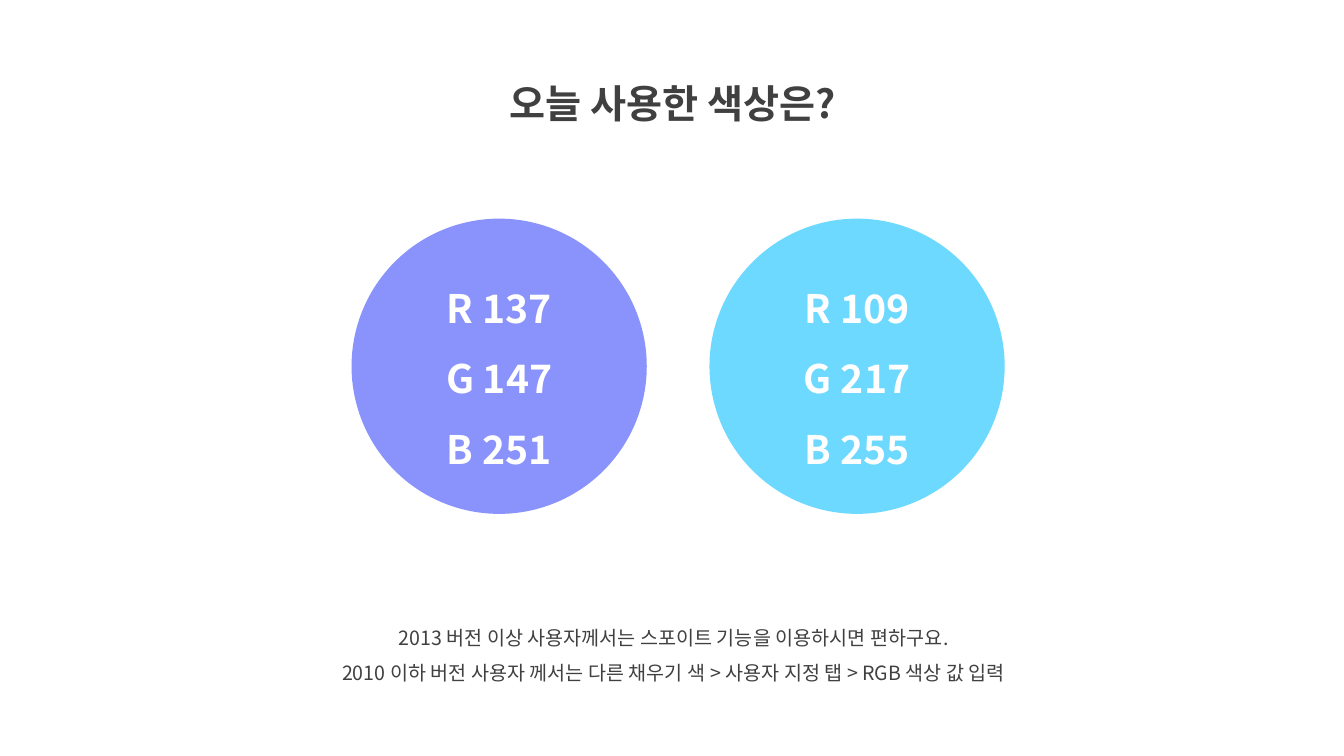
from lxml.etree import SubElement as Sub
from pptx import Presentation as Deck
from pptx.dml.color import RGBColor as Rgb
from pptx.enum.shapes import MSO_SHAPE as Form
from pptx.enum.text import MSO_ANCHOR as Anchor, MSO_AUTO_SIZE as Fit, PP_ALIGN as Align
from pptx.oxml.ns import qn
from pptx.util import Cm, Pt

FACE = "Noto Sans CJK KR"
DARK = "404040"
WHITE = "FFFFFF"
HUES = ["8993FB", "6DD9FF"]
TITLE = ["오늘 사용한 색상은?"]
NOTES = [
    "2013 버전 이상 사용자께서는 스포이트 기능을 이용하시면 편하구요.",
    "2010 이하 버전 사용자 께서는 다른 채우기 색 > 사용자 지정 탭 > RGB 색상 값 입력",
]
HEAD = {"size": Pt(28), "bold": True, "name": FACE}
BODY = {"size": Pt(14), "bold": False, "name": FACE}


def paint(target, code):
    target.solid()
    target.fore_color.rgb = Rgb.from_string(code)


def apply(item, form):
    for key, value in form.items():
        setattr(item, key, value)


def write(frame, lines, form, code):
    frame.word_wrap = True
    for index, line in enumerate(lines):
        para = frame.paragraphs[0] if index == 0 else frame.add_paragraph()
        apply(para, {"alignment": Align.CENTER, "line_spacing": 1.5})
        run = para.add_run()
        run.text = line
        apply(run.font, form)
        paint(run.font.fill, code)
        Sub(run.font._element, qn("a:ea"), typeface=FACE)


def add_text(slide, area, lines, form):
    box = slide.shapes.add_textbox(*map(Cm, area))
    write(box.text_frame, lines, form, DARK)
    box.text_frame.auto_size = Fit.SHAPE_TO_FIT_TEXT


def add_disc(slide, left, code):
    disc = slide.shapes.add_shape(Form.OVAL, Cm(left), Cm(5.51), Cm(7.44), Cm(7.44))
    disc.shadow.inherit = False
    disc.line.fill.background()
    paint(disc.fill, code)
    disc.text_frame.vertical_anchor = Anchor.MIDDLE
    lines = [f"{name} {value}" for name, value in zip("RGB", Rgb.from_string(code))]
    write(disc.text_frame, lines, HEAD, WHITE)


def main():
    deck = Deck()
    apply(deck, {"slide_width": Cm(33.87), "slide_height": Cm(19.05)})
    slide = deck.slides.add_slide(deck.slide_layouts[6])
    add_text(slide, (11.07, 1.27, 11.76, 1.83), TITLE, HEAD)
    add_text(slide, (6.83, 15.34, 20.29, 2.06), NOTES, BODY)
    for index, code in enumerate(HUES):
        add_disc(slide, 8.86 + index * 9.02, code)
    deck.save("out.pptx")


if __name__ == "__main__":
    main()
